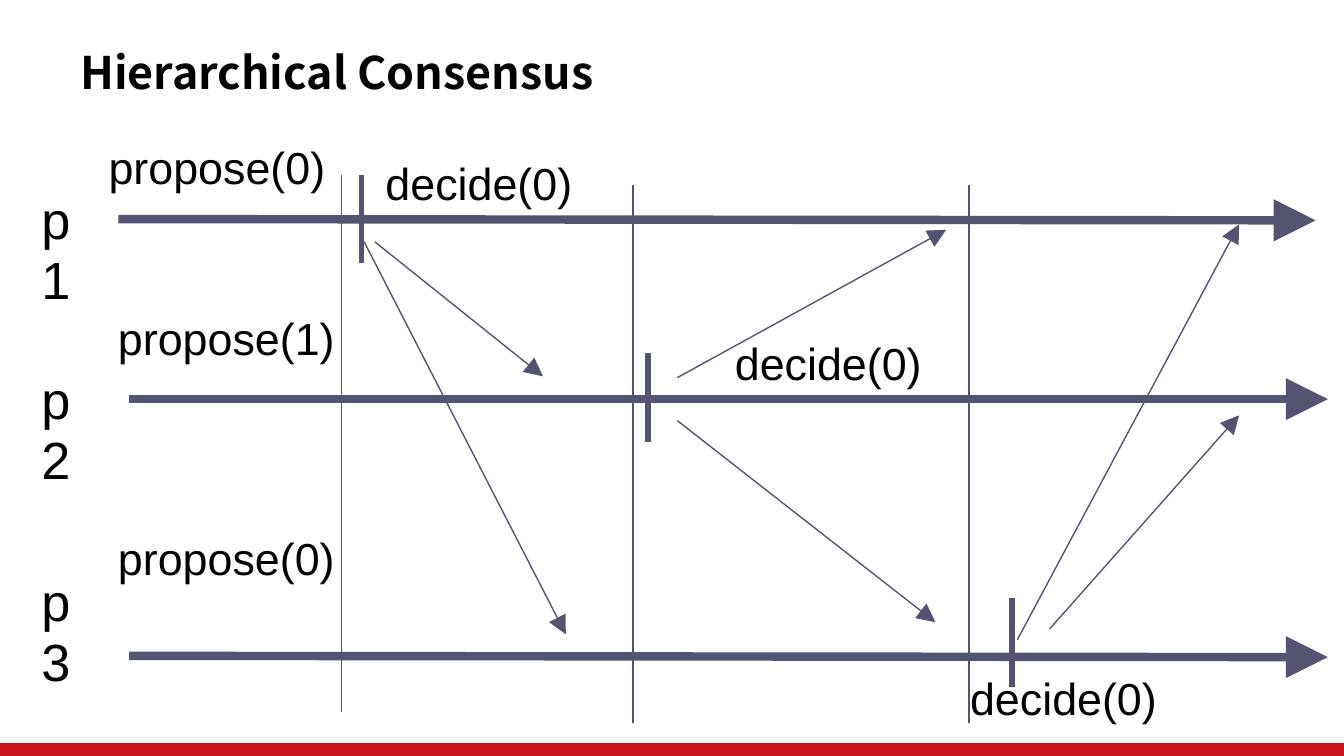
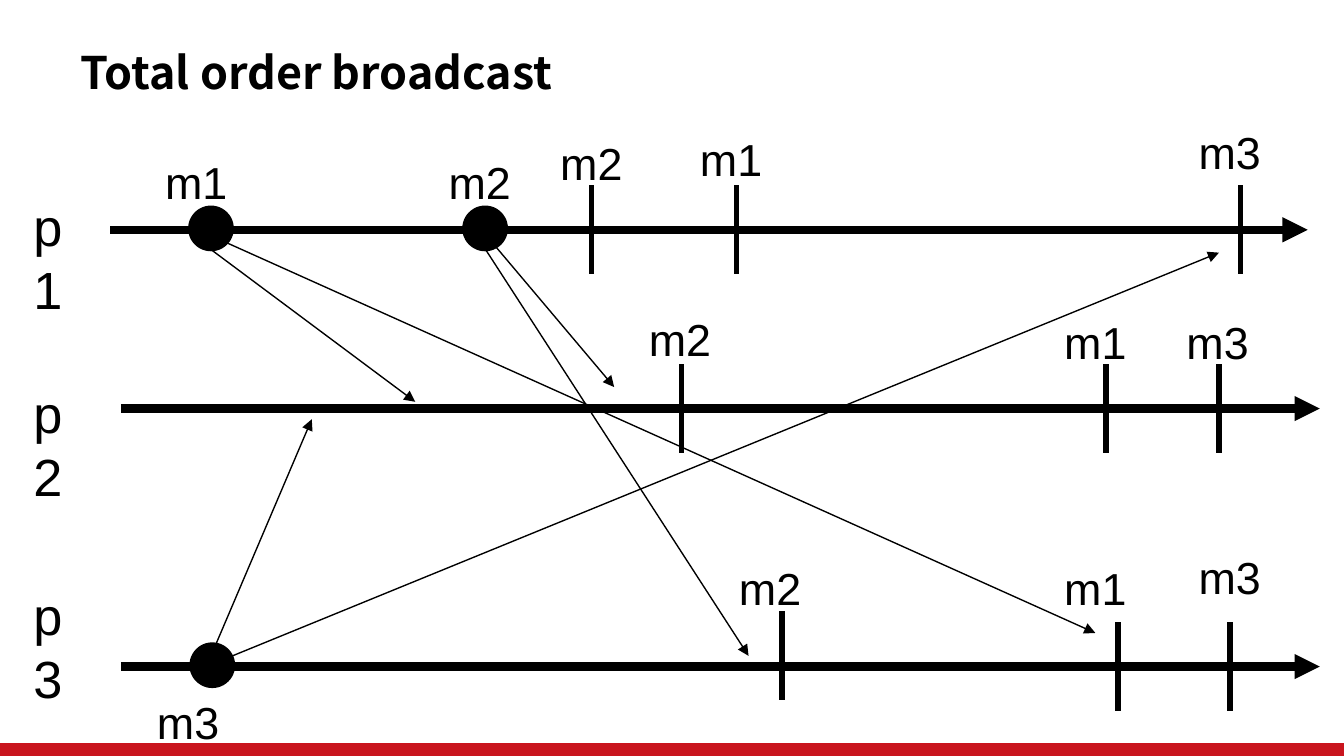
from lxml import etree
from pptx import Presentation
from pptx.dml.color import RGBColor
from pptx.enum.shapes import MSO_CONNECTOR, MSO_SHAPE
from pptx.enum.text import MSO_ANCHOR
from pptx.oxml.ns import qn
from pptx.util import Inches, Pt

STRAIGHT = MSO_CONNECTOR.STRAIGHT
RECT, OVAL = MSO_SHAPE.RECTANGLE, MSO_SHAPE.OVAL
TOP, MIDDLE = MSO_ANCHOR.TOP, MSO_ANCHOR.MIDDLE

WIDE = 10
HIGH = WIDE * 9 / 16
BLACK, RED, SLATE = "000000", "C9151E", "545472"
HEAD, BODY = "Noto Sans CJK SC", "Arial"
THIN, MID, THICK = 0.75, 3, 4.5
TICK, ROUND, DOT = 0.66, 4, 0.33

# lanes: name, name top, start x, start y, end x, end y
# ticks: x, middle y; rounds: x, top; dots: middle x, middle y
# sends: from x, y, to x, y; words: text, left, top
SLIDES = [
    {
        "title": "Hierarchical Consensus", "color": SLATE, "tip": "lg",
        "left": 0.21, "space": 0.95,
        "lanes": [
            ("p1", 1.38, 0.88, 1.63, 9.79, 1.64),
            ("p2", 2.72, 0.96, 2.97, 9.88, 2.97),
            ("p3", 4.22, 0.96, 4.88, 9.88, 4.89),
        ],
        "rounds": [(2.54, 1.3), (4.71, 1.38), (7.21, 1.38)],
        "ticks": [(2.69, 1.63), (4.82, 2.96), (7.53, 4.78)],
        "sends": [
            (2.71, 1.8, 4.21, 4.72), (2.79, 1.8, 4.04, 2.8),
            (5.04, 2.81, 7.04, 1.71), (5.04, 3.13, 6.96, 4.63),
            (7.57, 4.76, 9.22, 1.67), (7.81, 4.68, 9.22, 3.09),
        ],
        "dots": [],
        "widths": {"propose(0)": 2.33, "propose(1)": 2.33, "decide(0)": 1.87},
        "words": [
            ("propose(0)", 0.71, 1.02), ("decide(0)", 2.77, 1.14),
            ("propose(1)", 0.78, 2.29), ("decide(0)", 5.37, 2.48),
            ("propose(0)", 0.78, 3.93), ("decide(0)", 7.12, 4.97),
        ],
    },
    {
        "title": "Total order broadcast", "color": BLACK, "tip": "med",
        "left": 0.15, "space": 1,
        "lanes": [
            ("p1", 1.4, 0.82, 1.71, 9.73, 1.71),
            ("p2", 2.79, 0.9, 3.04, 9.82, 3.04),
            ("p3", 4.29, 0.9, 4.96, 9.82, 4.96),
        ],
        "rounds": [],
        "ticks": [
            (4.4, 1.71), (5.48, 1.71), (9.23, 1.71),
            (5.07, 3.04), (8.23, 3.04), (9.07, 3.04),
            (5.82, 4.88), (8.32, 4.96), (9.15, 4.96),
        ],
        "sends": [
            (1.48, 1.79, 3.09, 2.99), (1.65, 1.79, 8.15, 4.71),
            (3.65, 1.79, 4.57, 2.88), (3.57, 1.79, 5.57, 4.88),
            (1.57, 4.88, 2.32, 3.12), (1.73, 4.88, 9.07, 1.88),
        ],
        "dots": [(1.57, 1.7), (3.61, 1.7), (1.58, 4.95)],
        "widths": {"m1": 0.83, "m2": 0.83, "m3": 0.83},
        "words": [
            ("m1", 1.13, 1.1), ("m2", 3.24, 1.1), ("m2", 4.07, 0.96),
            ("m1", 5.11, 0.93), ("m3", 8.82, 0.88),
            ("m2", 4.73, 2.27), ("m1", 7.82, 2.29), ("m3", 8.73, 2.29),
            ("m2", 5.4, 4.12), ("m1", 7.82, 4.12), ("m3", 8.82, 4.04),
            ("m3", 1.07, 5.12),
        ],
    },
]


def rgb(code):
    return RGBColor.from_string(code)


def inch(*nums):
    return [Inches(n) for n in nums]


def text(slide, words, box, size, font=BODY, bold=False, space=1, anchor=TOP):
    body = slide.shapes.add_textbox(*inch(*box)).text_frame
    body.word_wrap = True
    body.vertical_anchor = anchor
    para = body.paragraphs[0]
    para.line_spacing = space
    run = para.add_run()
    run.text = words
    run.font.size = Pt(size)
    run.font.name = font
    run.font.bold = bold
    run.font.color.rgb = rgb(BLACK)


def line(slide, ends, color, width, tip=None):
    link = slide.shapes.add_connector(STRAIGHT, *inch(*ends))
    link.line.color.rgb = rgb(color)
    link.line.width = Pt(width)
    props = link._element.spPr
    if tip:
        etree.SubElement(props.find(qn("a:ln")), qn("a:tailEnd"),
                         type="triangle", w=tip, len=tip)
    etree.SubElement(props, qn("a:effectLst"))


def shape(slide, kind, box, color):
    item = slide.shapes.add_shape(kind, *inch(*box))
    item.shadow.inherit = False
    item.fill.solid()
    item.fill.fore_color.rgb = rgb(color)
    item.line.fill.background()
    return item


def frame(slide, title):
    # Red band and title, shared by all slides
    shape(slide, RECT, (0, 5.53, WIDE, 0.1), RED)
    text(slide, title, (0.5, 0.29, 6.96, 0.49), 24, HEAD, True, anchor=MIDDLE)


def draw(slide, data):
    color, space, tip = data["color"], data["space"], data["tip"]
    frame(slide, data["title"])

    # Process lanes
    for name, top, *ends in data["lanes"]:
        line(slide, ends, color, THICK, tip)
        text(slide, name, (data["left"], top, 0.59, 0.57), 28, space=space)

    # Round limits, events and messages
    for x, top in data["rounds"]:
        line(slide, (x, top, x, top + ROUND), color, THIN)
    for x, y in data["ticks"]:
        line(slide, (x, y - TICK / 2, x, y + TICK / 2), color, MID)
    for ends in data["sends"]:
        line(slide, ends, color, THIN, tip)

    # Event labels
    for words, left, top in data["words"]:
        box = (left, top, data["widths"][words], 0.5)
        text(slide, words, box, 24, space=space)

    # Broadcast points
    for x, y in data["dots"]:
        dot = shape(slide, OVAL, (x - DOT / 2, y - DOT / 2, DOT, DOT), color)
        dot.line.color.rgb = rgb(color)
        dot.line.width = Pt(THIN)


def main():
    deck = Presentation()
    deck.slide_width, deck.slide_height = inch(WIDE, HIGH)
    for data in SLIDES:
        draw(deck.slides.add_slide(deck.slide_layouts[6]), data)
    deck.save("out.pptx")


if __name__ == "__main__":
    main()
